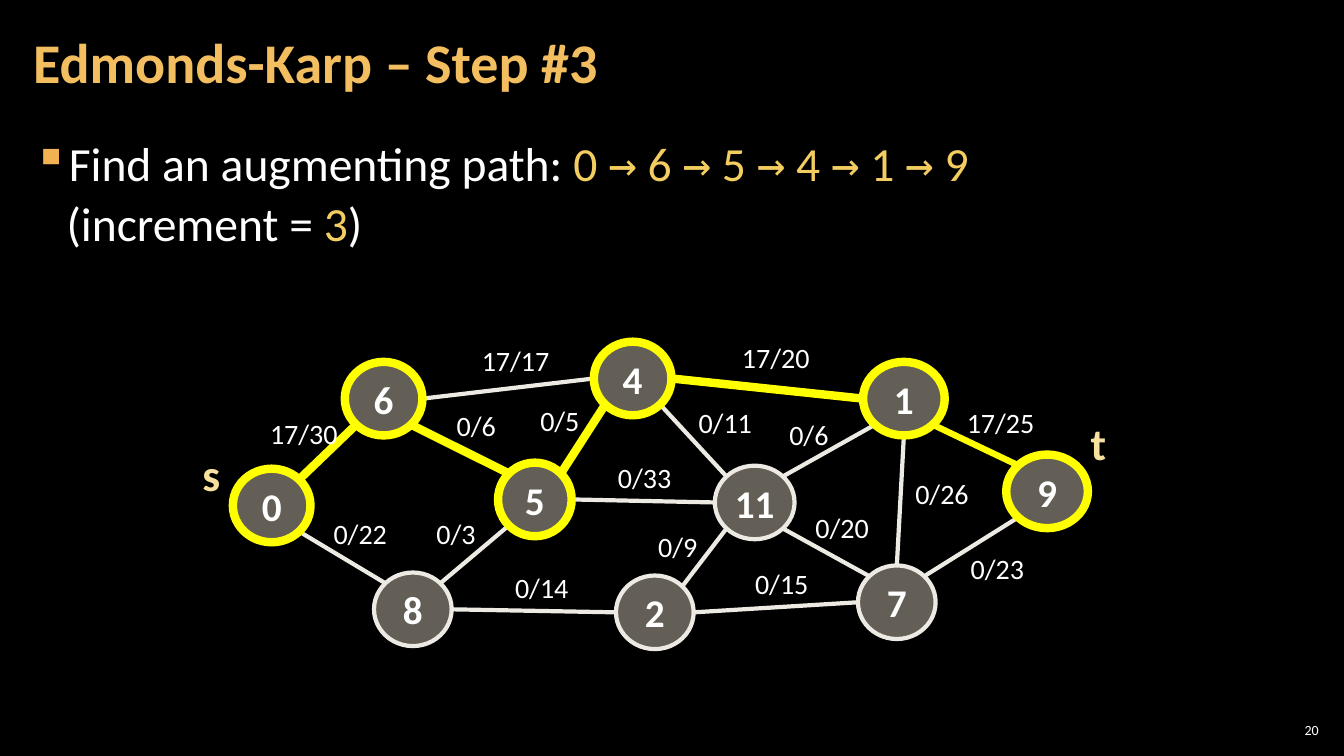
import math

import pptx
import pptx.dml.color
import pptx.enum.shapes
import pptx.enum.text
import pptx.oxml
import pptx.oxml.ns
import pptx.util
from pptx.util import Inches

COLORS = {
    "background": "000000",
    "text": "FFFFFF",
    "title": "F3BE60",
    "accent": "F3CD60",
    "bullet": "F2B254",
    "terminal": "F8E19F",
    "edge": "ECEAE3",
    "path": "FFFF00",
    "node": "C7BFAC",
}
FONT, ARROW_FONT = "Calibri", "DejaVu Sans Mono"
ALIGN = pptx.enum.text.PP_ALIGN
MIDDLE = pptx.enum.text.MSO_ANCHOR.MIDDLE

AUGMENTING_PATH = ["0", "6", "5", "4", "1", "9"]
NODE_HEIGHT = 0.73
# Node: left, top and width inside the graph box
NODES = {
    "11": (5.19, 1.32, 0.79),
    "1": (6.66, 0.29, 0.81),
    "4": (3.99, 0.09, 0.77),
    "5": (3.04, 1.29, 0.73),
    "8": (1.81, 2.38, 0.77),
    "2": (4.21, 2.41, 0.77),
    "7": (6.61, 2.31, 0.77),
    "6": (1.52, 0.29, 0.77),
    "0": (0.41, 1.35, 0.77),
    "9": (8.08, 1.21, 0.81),
}
# Edge: node and side at each end, flow/capacity, left and top of its label
EDGES = [
    ("11", "NE", "1", "SW", "0/6", 5.83, 0.79),
    ("4", "E", "1", "W", "17/20", 5.36, 0.03),
    ("11", "NW", "4", "SE", "0/11", 4.93, 0.67),
    ("5", "E", "11", "W", "0/33", 4.13, 1.22),
    ("4", "SW", "5", "NE", "0/5", 3.36, 0.65),
    ("6", "E", "4", "W", "17/17", 2.78, 0.06),
    ("5", "NW", "6", "SE", "0/6", 2.53, 0.7),
    ("11", "SE", "7", "NW", "0/20", 6.09, 1.72),
    ("2", "W", "8", "E", "0/14", 3.11, 2.31),
    ("5", "SW", "8", "NE", "0/3", 2.33, 1.77),
    ("2", "NE", "11", "SW", "0/9", 4.53, 1.9),
    ("0", "NE", "6", "SW", "17/30", 0.68, 0.78),
    ("7", "N", "1", "S", "0/26", 7.08, 1.38),
    ("7", "W", "2", "E", "0/15", 5.49, 2.27),
    ("0", "SE", "8", "NW", "0/22", 1.31, 1.78),
    ("9", "NW", "1", "SE", "17/25", 7.59, 0.67),
    ("9", "SW", "7", "NE", "0/23", 7.63, 2.12),
]
LABEL_WIDTHS = {3: 0.59, 4: 0.74, 5: 0.88}
TERMINALS = [("s", 0.01, 1.08, 0.38), ("t", 8.82, 0.78, 0.36)]


def rgb(name):
    return pptx.dml.color.RGBColor.from_string(COLORS[name])


def add_span(para, text, size, color, bold=False, font=FONT):
    span = para.add_run()
    span.text = text
    span.font.name = font
    span.font.size = pptx.util.Pt(size)
    span.font.bold = bold
    span.font.color.rgb = rgb(color)


def set_insets(frame, side, end):
    frame.margin_left = frame.margin_right = Inches(side)
    frame.margin_top = frame.margin_bottom = Inches(end)


def add_frame(shapes, box):
    """Adds a wrapping text box and returns its text frame."""
    frame = shapes.add_textbox(*map(Inches, box)).text_frame
    frame.word_wrap = True
    set_insets(frame, 0.12, 0.04)
    return frame


def add_title(slide, box):
    frame = add_frame(slide.shapes, box)
    frame.vertical_anchor = MIDDLE
    para = frame.paragraphs[0]
    para.line_spacing = 0.9
    add_span(para, "Edmonds-Karp – Step #3", 40, "title", bold=True)


def add_page_number(slide, box):
    frame = add_frame(slide.shapes, box)
    frame.vertical_anchor = MIDDLE
    set_insets(frame, 0.04, 0.04)
    para = frame.paragraphs[0]
    para.alignment = ALIGN.RIGHT
    add_span(para, "20", 10, "text")


def add_bullet(para, char, indent):
    props = para._p.get_or_add_pPr()
    props.set("marL", str(Inches(indent)))
    props.set("indent", str(-Inches(indent)))
    color = pptx.oxml.ns.qn("a:buClr")
    clr = props.makeelement(color, {})
    clr.append(props.makeelement(pptx.oxml.ns.qn("a:srgbClr"), {"val": COLORS["bullet"]}))
    props.append(clr)
    props.append(props.makeelement(pptx.oxml.ns.qn("a:buChar"), {"char": char}))


def add_body(slide, box):
    para = add_frame(slide.shapes, box).paragraphs[0]
    para.line_spacing = 1.05
    para.space_before = para.space_after = pptx.util.Pt(6)
    add_bullet(para, "▪", 0.33)
    add_span(para, "Find an augmenting path: ", 34, "text")
    for step, node in enumerate(AUGMENTING_PATH):
        if step:
            add_span(para, "→", 34, "accent", font=ARROW_FONT)
        before = " " if step else ""
        after = " " if node != AUGMENTING_PATH[-1] else ""
        add_span(para, before + node + after, 34, "accent")
    para.add_line_break()
    for text, color in [("(increment = ", "text"), ("3", "accent"), (")", "text")]:
        add_span(para, text, 34, color)


def node_side(node, side):
    """Point on a node's outline in a compass direction."""
    left, top, width = NODES[node]
    dx = ("E" in side) - ("W" in side)
    dy = ("S" in side) - ("N" in side)
    reach = math.hypot(dx, dy)
    return (left + width / 2 * (1 + dx / reach),
            top + NODE_HEIGHT / 2 * (1 + dy / reach))


def add_edge(shapes, start, end, color, weight):
    line = shapes.add_connector(
        pptx.enum.shapes.MSO_CONNECTOR.STRAIGHT, *map(Inches, start + end))
    line.line.color.rgb = rgb(color)
    line.line.width = pptx.util.Pt(weight)
    props = line._element.spPr
    props.append(props.makeelement(pptx.oxml.ns.qn("a:effectLst"), {}))


def add_node(shapes, name, box):
    node = shapes.add_shape(pptx.enum.shapes.MSO_SHAPE.OVAL, *map(Inches, box))
    node.shadow.inherit = False
    node.fill.solid()
    node.fill.fore_color.rgb = rgb("node")
    color = node._element.spPr.find(".//" + pptx.oxml.ns.qn("a:srgbClr"))
    color.append(color.makeelement(pptx.oxml.ns.qn("a:alpha"), {"val": "50000"}))
    on_path = name in AUGMENTING_PATH
    node.line.color.rgb = rgb("path" if on_path else "edge")
    node.line.width = pptx.util.Pt(6 if on_path else 3)
    frame = node.text_frame
    frame.vertical_anchor = MIDDLE
    set_insets(frame, 0.04, 0.05)
    para = frame.paragraphs[0]
    para.alignment = ALIGN.CENTER
    add_span(para, name, 28, "text", bold=True)


def add_label(shapes, text, box, size, color, bold=False):
    frame = shapes.add_textbox(*map(Inches, box)).text_frame
    frame.word_wrap = False
    frame.auto_size = pptx.enum.text.MSO_AUTO_SIZE.SHAPE_TO_FIT_TEXT
    add_span(frame.paragraphs[0], text, size, color, bold)


def add_flow_graph(slide, left, top):
    shapes = slide.shapes.add_group_shape().shapes
    steps = [{a, b} for a, b in zip(AUGMENTING_PATH, AUGMENTING_PATH[1:])]
    for start, start_side, end, end_side, *_ in EDGES:
        on_path = {start, end} in steps
        weight = 3 if not on_path else 4.5 if "9" in (start, end) else 6
        points = [(left + x, top + y) for x, y in
                  (node_side(start, start_side), node_side(end, end_side))]
        add_edge(shapes, *points, "path" if on_path else "edge", weight)
    for name, (x, y, width) in NODES.items():
        add_node(shapes, name, (left + x, top + y, width, NODE_HEIGHT))
    for *_, flow, x, y in EDGES:
        box = (left + x, top + y, LABEL_WIDTHS[len(flow)], 0.44)
        add_label(shapes, flow, box, 20, "text")
    for name, x, y, width in TERMINALS:
        add_label(shapes, name, (left + x, top + y, width, 0.64), 32, "terminal", bold=True)


def main():
    deck = pptx.Presentation()
    deck.slide_width, deck.slide_height = Inches(13.33), Inches(7.5)
    slide = deck.slides.add_slide(deck.slide_layouts[6])
    slide.background.fill.solid()
    slide.background.fill.fore_color.rgb = rgb("background")
    add_page_number(slide, (12.65, 7.14, 0.47, 0.21))
    add_body(slide, (0.21, 1.26, 12.91, 6.09))
    add_title(slide, (0.21, 0.04, 10.47, 1.21))
    add_flow_graph(slide, 1.9, 3.3)
    deck.save("out.pptx")


if __name__ == "__main__":
    main()
